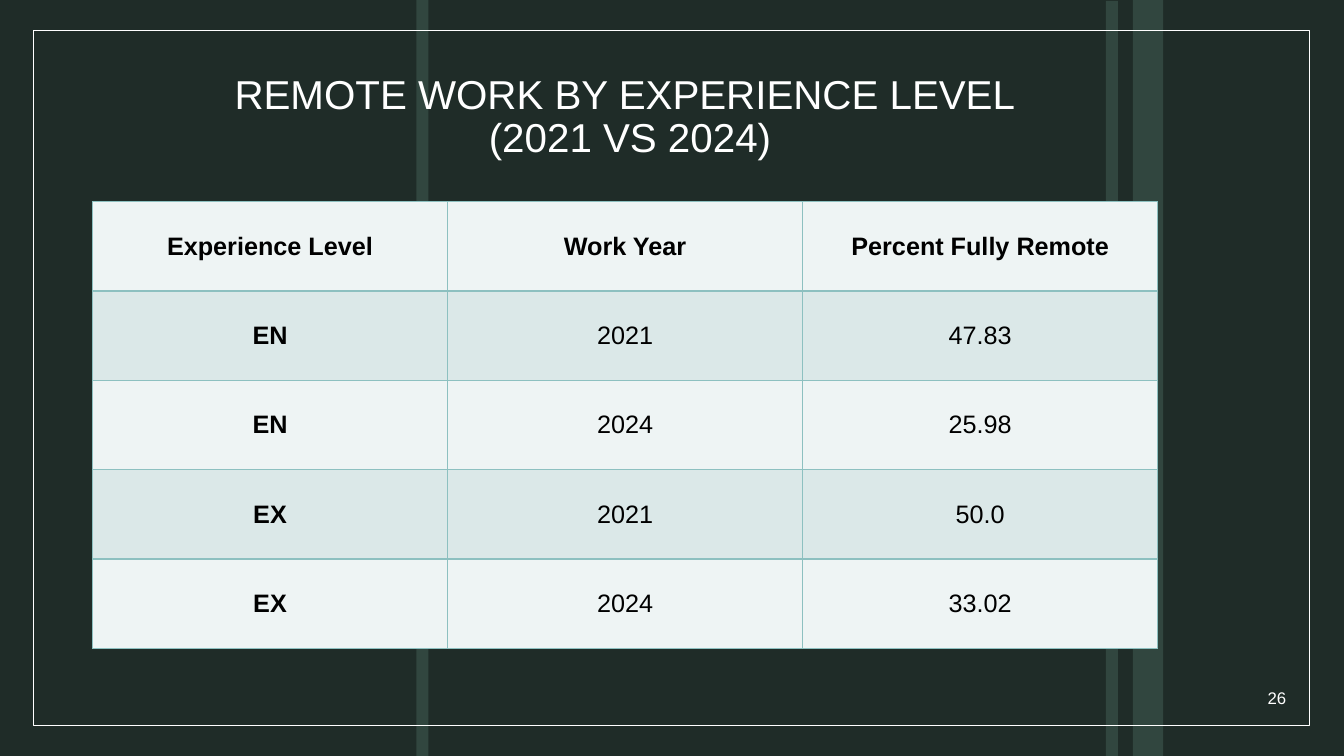
import dataclasses
import pptx
import pptx.dml.color
import pptx.enum.shapes
import pptx.enum.text
import pptx.oxml
import pptx.oxml.ns
import pptx.util

ALIGN = pptx.enum.text.PP_ALIGN
MIDDLE = pptx.enum.text.MSO_ANCHOR.MIDDLE
RECT = pptx.enum.shapes.MSO_SHAPE.RECTANGLE


@dataclasses.dataclass(frozen=True)
class Theme:
    font: str = "Arial"
    back: str = "1F2C28"
    stripe: str = "31463F"
    light: str = "FFFFFF"
    dark: str = "000000"
    rule: str = "8DC0C0"
    bands: tuple = ("EEF4F4", "DBE8E8")
    title: float = 28.8
    body: float = 18
    small: float = 12


def color(code):
    return pptx.dml.color.RGBColor.from_string(code)


def paint(fill, code):
    fill.solid()
    fill.fore_color.rgb = color(code)


def write(frame, text, *, font, size, ink, align=ALIGN.CENTER, bold=False, space=None):
    frame.word_wrap = True
    para = frame.paragraphs[0]
    para.text = text
    para.alignment = align
    para.line_spacing = space
    for run in para.runs:
        run.font.name = font
        run.font.size = pptx.util.Pt(size)
        run.font.bold = bold
        run.font.color.rgb = color(ink)


class Board:
    def __init__(self, deck, theme):
        self.theme = theme
        self.wide = deck.slide_width
        self.high = deck.slide_height
        self.slide = deck.slides.add_slide(deck.slide_layouts[6])
        paint(self.slide.background.fill, theme.back)

    def place(self, left, top, width, height):
        """Turn percentages of the slide into lengths."""
        return (
            round(self.wide * left / 100),
            round(self.high * top / 100),
            round(self.wide * width / 100),
            round(self.high * height / 100),
        )

    def box(self, *area, fill=None, line=None):
        shape = self.slide.shapes.add_shape(RECT, *self.place(*area))
        shape.shadow.inherit = False
        if fill:
            paint(shape.fill, fill)
        else:
            shape.fill.background()
        if line:
            shape.line.color.rgb = color(line)
            shape.line.width = pptx.util.Pt(1)
        else:
            shape.line.fill.background()

    def label(self, text, *area, **form):
        frame = self.slide.shapes.add_textbox(*self.place(*area)).text_frame
        frame.vertical_anchor = MIDDLE
        write(frame, text, font=self.theme.font, ink=self.theme.light, **form)

    def edge(self, cell):
        props = cell._tc.get_or_add_tcPr()
        for side in ("lnL", "lnR", "lnT", "lnB"):
            props.append(pptx.oxml.parse_xml(
                f'<a:{side} {pptx.oxml.ns.nsdecls("a")} w="12700"><a:solidFill>'
                f'<a:srgbClr val="{self.theme.rule}"/></a:solidFill></a:{side}>'
            ))

    def table(self, rows, *area):
        theme = self.theme
        grid = self.slide.shapes.add_table(
            len(rows), len(rows[0]), *self.place(*area)
        ).table
        grid.first_row = grid.horz_banding = False
        for i, row in enumerate(rows):
            for j, text in enumerate(row):
                cell = grid.cell(i, j)
                self.edge(cell)
                paint(cell.fill, theme.bands[i % 2])
                cell.vertical_anchor = MIDDLE
                write(cell.text_frame, text, font=theme.font, size=theme.body,
                      ink=theme.dark, bold=i == 0 or j == 0)


def main():
    deck = pptx.Presentation()
    deck.slide_width = pptx.util.Inches(13.33)
    deck.slide_height = pptx.util.Inches(7.5)
    theme = Theme()
    board = Board(deck, theme)
    for left, top, width in ((82.28, 0.13, 0.9), (30.98, 0, 0.9), (84.3, 0, 2.25)):
        board.box(left, top, width, 100 - top, fill=theme.stripe)
    board.box(2.5, 4, 94.95, 92, line=theme.light)
    board.label("REMOTE WORK BY EXPERIENCE LEVEL \n(2021 VS 2024)",
                7.58, 10.27, 78.6, 10.67, size=theme.title, space=0.9)
    board.table(
        [
            ("Experience Level", "Work Year", "Percent Fully Remote"),
            ("EN", "2021", "47.83"),
            ("EN", "2024", "25.98"),
            ("EX", "2021", "50.0"),
            ("EX", "2024", "33.02"),
        ],
        6.88, 26.67, 79.27, 59.1,
    )
    board.label("26", 89.55, 89.6, 6.9, 5.33, size=theme.small, align=ALIGN.RIGHT)
    deck.save("out.pptx")


if __name__ == "__main__":
    main()
